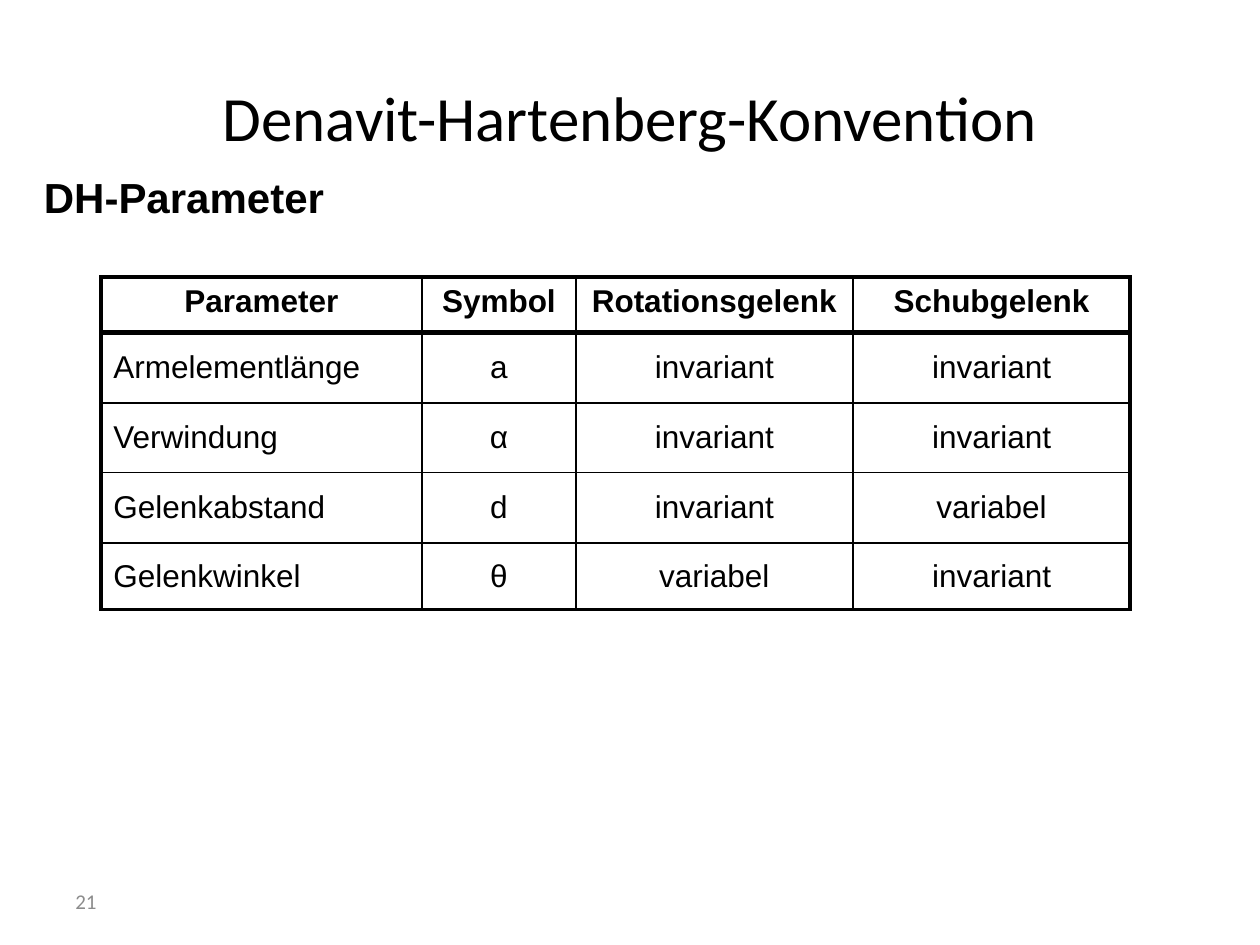
from lxml.etree import SubElement
from pptx import Presentation
from pptx.dml.color import RGBColor
from pptx.enum.text import MSO_ANCHOR as Anchor, PP_ALIGN as Align
from pptx.oxml import parse_xml
from pptx.oxml.ns import nsdecls, qn
from pptx.util import Inches, Pt

BLACK = RGBColor(0x00, 0x00, 0x00)
GRAY = RGBColor(0x8C, 0x8C, 0x8C)

THIN, OUTER, HEADER_RULE = 1, 2.25, 3

COLUMN_WIDTHS = [2.55, 1.22, 2.2, 2.2]
ROW_HEIGHTS = [0.44, 0.56, 0.55, 0.56, 0.53]
DH_PARAMETERS = [
    ["Parameter", "Symbol", "Rotationsgelenk", "Schubgelenk"],
    ["Armelementlänge", "a", "invariant", "invariant"],
    ["Verwindung", "α", "invariant", "invariant"],
    ["Gelenkabstand", "d", "invariant", "variabel"],
    ["Gelenkwinkel", "θ", "variabel", "invariant"],
]


class SlideBuilder:
    heading_font = "Calibri"
    text_font = "Arial"

    def __init__(self, slide):
        self.slide = slide

    def set_text(self, frame, text, font, size, color=BLACK, bold=False, align=Align.LEFT):
        frame.text = text
        paragraph = frame.paragraphs[0]
        paragraph.alignment = align
        style = paragraph.runs[0].font
        style.name, style.size, style.bold = font, Pt(size), bold
        style.color.rgb = color

    def title(self, text, left, top, width, height):
        title = self.slide.shapes.title
        title.left, title.top = Inches(left), Inches(top)
        title.width, title.height = Inches(width), Inches(height)
        title.text_frame.vertical_anchor = Anchor.MIDDLE
        self.set_text(title.text_frame, text, self.heading_font, 36, align=Align.CENTER)

    def text(self, text, left, top, width, height, font, size,
             color=BLACK, bold=False, anchor=Anchor.TOP):
        box = self.slide.shapes.add_textbox(
            Inches(left), Inches(top), Inches(width), Inches(height))
        frame = box.text_frame
        frame.word_wrap = True
        frame.vertical_anchor = anchor
        self.set_text(frame, text, font, size, color, bold)

    def borders(self, cell, **widths):
        properties = cell._tc.get_or_add_tcPr()
        # Border lines come before the fill, in the order L, R, T, B
        for position, side in enumerate("LRTB"):
            line = parse_xml(f'<a:ln{side} {nsdecls("a")} w="{Pt(widths[side])}"/>')
            fill = SubElement(line, qn("a:solidFill"))
            SubElement(fill, qn("a:srgbClr"), val=str(BLACK))
            properties.insert(position, line)

    def table(self, rows, left, top, widths, heights):
        table = self.slide.shapes.add_table(
            len(rows), len(widths), Inches(left), Inches(top),
            Inches(sum(widths)), Inches(sum(heights))).table
        table.first_row = table.horz_banding = False
        for column, width in zip(table.columns, widths):
            column.width = Inches(width)
        for row, height in zip(table.rows, heights):
            row.height = Inches(height)

        last_row, last_column = len(rows) - 1, len(widths) - 1
        for r, values in enumerate(rows):
            for c, value in enumerate(values):
                cell = table.cell(r, c)
                header = r == 0
                cell.fill.background()
                cell.vertical_anchor = Anchor.TOP if header else Anchor.MIDDLE
                self.set_text(cell.text_frame, value, self.text_font, 18, bold=header,
                              align=Align.CENTER if header or c else Align.LEFT)
                self.borders(
                    cell,
                    L=OUTER if c == 0 else THIN,
                    R=OUTER if c == last_column else THIN,
                    T={0: OUTER, 1: HEADER_RULE}.get(r, THIN),
                    B={0: HEADER_RULE, last_row: OUTER}.get(r, THIN))


def main():
    deck = Presentation()
    deck.slide_width, deck.slide_height = Inches(10), Inches(7.5)
    title_only = deck.slide_layouts[5]
    builder = SlideBuilder(deck.slides.add_slide(title_only))

    # Headings
    builder.title("Denavit-Hartenberg-Konvention", 0.5, 0.3, 9, 1.25)
    builder.text("DH-Parameter", 0.25, 1.31, 9.26, 0.63,
                 builder.text_font, 24, bold=True)

    # Parameter table
    builder.table(DH_PARAMETERS, 0.8, 2.2, COLUMN_WIDTHS, ROW_HEIGHTS)

    # Page number
    builder.text("21", 0.5, 6.95, 2.33, 0.4, builder.heading_font, 12,
                 color=GRAY, anchor=Anchor.MIDDLE)

    deck.save("out.pptx")


if __name__ == "__main__":
    main()
